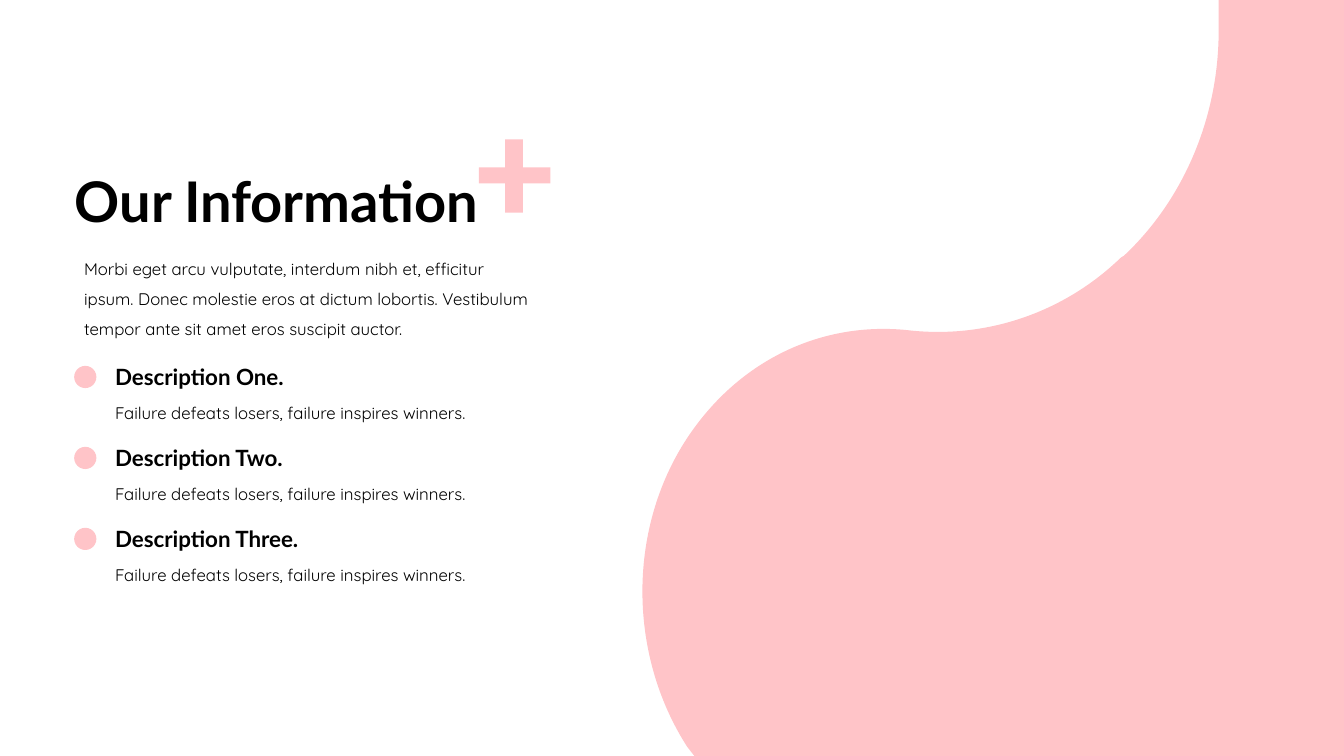
from dataclasses import dataclass

from lxml import etree
from pptx import Presentation
from pptx.dml.color import RGBColor
from pptx.enum.shapes import MSO_SHAPE
from pptx.enum.text import MSO_ANCHOR, MSO_AUTO_SIZE, PP_ALIGN
from pptx.oxml.ns import qn
from pptx.shapes.autoshape import Shape
from pptx.shapes.shapetree import GroupShapes, SlideShapes
from pptx.text.text import TextFrame
from pptx.util import Cm, Pt

ELLIPSE = MSO_SHAPE.OVAL
LEFT, JUSTIFY = PP_ALIGN.LEFT, PP_ALIGN.JUSTIFY
TOP, MIDDLE = MSO_ANCHOR.TOP, MSO_ANCHOR.MIDDLE
GROW, NO_FIT = MSO_AUTO_SIZE.SHAPE_TO_FIT_TEXT, MSO_AUTO_SIZE.NONE
TITLE_ONLY = 5

Point = tuple[float, float]


@dataclass(frozen=True)
class Style:
    font: str
    size: float
    bold: bool = False
    spacing: float = 1.0
    align: PP_ALIGN = LEFT
    anchor: MSO_ANCHOR = TOP
    fit: MSO_AUTO_SIZE = GROW


@dataclass(frozen=True)
class Theme:
    pink: RGBColor = RGBColor(0xFF, 0xC4, 0xC8)
    ink: RGBColor = RGBColor(0, 0, 0)
    title: Style = Style("Lato", 40, True, 0.9, anchor=MIDDLE, fit=NO_FIT)
    heading: Style = Style("Lato", 16, True, anchor=MIDDLE)
    intro: Style = Style("Quicksand", 12, spacing=1.5)
    detail: Style = Style("Quicksand", 12, spacing=1.5, align=JUSTIFY)


@dataclass(frozen=True)
class Box:
    left: float
    top: float
    width: float
    height: float

    def lengths(self) -> tuple[Cm, Cm, Cm, Cm]:
        return Cm(self.left), Cm(self.top), Cm(self.width), Cm(self.height)


@dataclass(frozen=True)
class Item:
    heading: str
    detail: str


THEME = Theme()
WIDTH, HEIGHT = 33.87, 19.05

INTRO = ("Morbi eget arcu vulputate, interdum nibh et, efficitur ipsum. "
         "Donec molestie eros at dictum lobortis. "
         "Vestibulum tempor ante sit amet eros suscipit auctor.")
MOTTO = "Failure defeats losers, failure inspires winners."
ITEMS = [Item(f"Description {n}.", MOTTO) for n in ("One", "Two", "Three")]
ITEMS_TOP, ITEM_PITCH = 9.02, 2.04

# Wave: straight edges, then Bézier segments (two controls and an end point)
WAVE_LEFT = 16.18
WAVE_EDGES: list[Point] = [(30.71, 0), (WIDTH, 0), (WIDTH, HEIGHT),
                           (17.5, HEIGHT), (17.32, 18.82)]
WAVE_CURVES: list[list[Point]] = [
    [(15.8, 16.46), (15.8, 13.23), (17.4, 10.92)],
    [(18.75, 8.97), (20.85, 8.08), (22.96, 8.33)],
    [(24.89, 8.53), (26.82, 7.87), (28.24, 6.5)],
    [(28.27, 6.48), (28.3, 6.45), (28.32, 6.45)],
    [(29.87, 5.0), (30.76, 2.84), (30.71, 0.61)],
]
PLUS: list[Point] = [
    (12.73, 3.51), (13.18, 3.51), (13.18, 4.22), (13.87, 4.22),
    (13.87, 4.62), (13.18, 4.62), (13.18, 5.36), (12.73, 5.36),
    (12.73, 4.62), (12.07, 4.62), (12.07, 4.22), (12.73, 4.22),
]


def paint(sp: Shape) -> None:
    sp.shadow.inherit = False
    sp.fill.solid()
    sp.fill.fore_color.rgb = THEME.pink
    sp.line.fill.background()


def add_outline(shapes: SlideShapes, points: list[Point]) -> Shape:
    start, *rest = [(Cm(x), Cm(y)) for x, y in points]
    builder = shapes.build_freeform(*start)
    builder.add_line_segments(rest, close=True)
    sp = builder.convert_to_shape()
    paint(sp)
    return sp


def add_wave(shapes: SlideShapes) -> None:
    # The frame fixes the extent; its straight path then gives way to the wave
    sp = add_outline(shapes, [(WAVE_LEFT, 0), (WIDTH, 0),
                              (WIDTH, HEIGHT), (WAVE_LEFT, HEIGHT)])
    outline = next(sp.element.iter(qn("a:path")))
    for child in list(outline):
        outline.remove(child)
    start, *edges = WAVE_EDGES
    steps = [("a:moveTo", [start])]
    steps += [("a:lnTo", [point]) for point in edges]
    steps += [("a:cubicBezTo", points) for points in WAVE_CURVES]
    for tag, points in steps + [("a:close", [])]:
        step = etree.SubElement(outline, qn(tag))
        for x, y in points:
            etree.SubElement(step, qn("a:pt"), x=str(int(Cm(x - WAVE_LEFT))),
                             y=str(int(Cm(y))))


def write(tf: TextFrame, text: str, style: Style) -> None:
    tf.word_wrap = True
    tf.auto_size = style.fit
    tf.vertical_anchor = style.anchor
    p = tf.paragraphs[0]
    p.text = text
    p.alignment = style.align
    p.line_spacing = style.spacing
    p.font.name = style.font
    p.font.size = Pt(style.size)
    p.font.bold = style.bold
    p.font.color.rgb = THEME.ink


def add_text(shapes: SlideShapes | GroupShapes, box: Box, text: str, style: Style) -> None:
    write(shapes.add_textbox(*box.lengths()).text_frame, text, style)


def add_item(shapes: SlideShapes, item: Item, top: float) -> None:
    group = shapes.add_group_shape().shapes
    add_text(group, Box(2.65, top, 7.24, 0.94), item.heading, THEME.heading)
    add_text(group, Box(2.65, top + 0.75, 10.29, 1.02), item.detail, THEME.detail)
    paint(group.add_shape(ELLIPSE, *Box(1.87, top + 0.2, 0.56, 0.56).lengths()))


def main() -> None:
    prs = Presentation()
    prs.slide_width, prs.slide_height = Cm(WIDTH), Cm(HEIGHT)
    s = prs.slides.add_slide(prs.slide_layouts[TITLE_ONLY])

    # Background wave
    add_wave(s.shapes)

    # Descriptions
    for i, item in enumerate(ITEMS):
        add_item(s.shapes, item, ITEMS_TOP + i * ITEM_PITCH)

    # Introduction and plus sign
    add_text(s.shapes, Box(1.87, 6.14, 11.71, 2.57), INTRO, THEME.intro)
    add_outline(s.shapes, PLUS)

    # Title
    title = s.shapes.title
    title.left, title.top, title.width, title.height = Box(1.63, 3.3, 12.9, 3.68).lengths()
    write(title.text_frame, "Our Information", THEME.title)

    prs.save("out.pptx")


if __name__ == "__main__":
    main()
